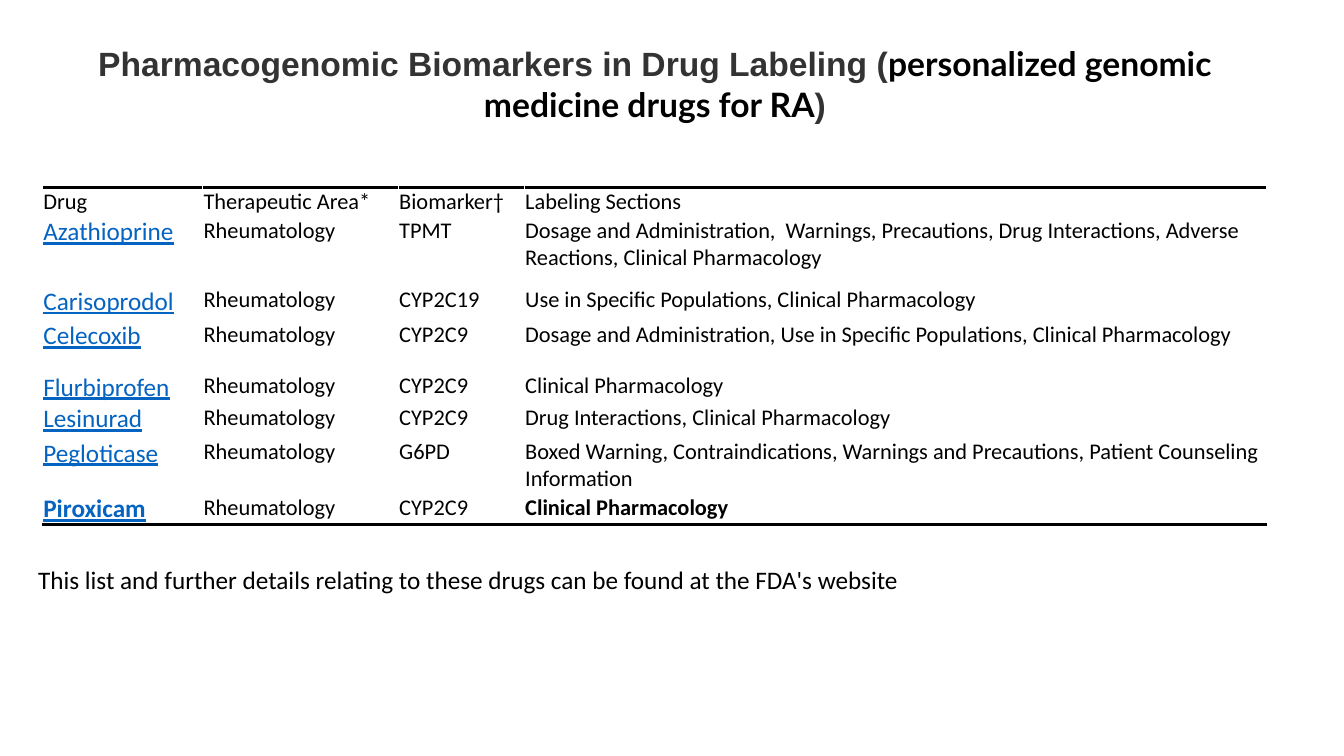
from lxml import etree
from pptx import Presentation
from pptx.dml.color import RGBColor
from pptx.enum.text import MSO_ANCHOR, MSO_AUTO_SIZE, PP_ALIGN
from pptx.oxml.ns import qn
from pptx.util import Inches, Pt

TOP, BOTTOM = MSO_ANCHOR.TOP, MSO_ANCHOR.BOTTOM
NO_FIT = MSO_AUTO_SIZE.NONE
CENTER = PP_ALIGN.CENTER
TITLE_ONLY = 5

COLORS = {"text": "000000", "heading": "333333", "drug": "0563C1", "paper": "FFFFFF"}
COLUMN_WIDTHS = [1.59, 1.94, 1.25, 7.36]
ROW_HEIGHTS = [0.21, 0.69, 0.34, 0.51, 0.21, 0.34, 0.51, 0.2]
HEADINGS = ["Drug", "Therapeutic Area*", "Biomarker†", "Labeling Sections"]
AREA = "Rheumatology"
DRUGS = [
    ("Azathioprine", "TPMT", "Dosage and Administration,  Warnings, Precautions, "
     "Drug Interactions, Adverse Reactions, Clinical Pharmacology"),
    ("Carisoprodol", "CYP2C19", "Use in Specific Populations, Clinical Pharmacology"),
    ("Celecoxib", "CYP2C9", "Dosage and Administration, Use in Specific Populations, "
     "Clinical Pharmacology"),
    ("Flurbiprofen", "CYP2C9", "Clinical Pharmacology"),
    ("Lesinurad", "CYP2C9", "Drug Interactions, Clinical Pharmacology"),
    ("Pegloticase", "G6PD", "Boxed Warning, Contraindications, Warnings and Precautions, "
     "Patient Counseling Information"),
    ("Piroxicam", "CYP2C9", "Clinical Pharmacology"),
]


def add_span(para, text, size, color="text", font="Calibri", bold=False, underline=False):
    """Append one formatted run to a paragraph."""
    span = para.add_run()
    span.text = text
    span.font.name = font
    span.font.size = Pt(size)
    span.font.bold = bold
    span.font.underline = underline
    span.font.color.rgb = RGBColor.from_string(COLORS[color])


def add_rule(cell, side):
    """Draw a two-point line along the named side of a cell."""
    properties = cell._tc.get_or_add_tcPr()
    line = etree.Element(qn(f"a:{side}"), w=str(Pt(2)))
    fill = etree.SubElement(line, qn("a:solidFill"))
    etree.SubElement(fill, qn("a:srgbClr"), val=COLORS["text"])
    properties.insert(0, line)


def place_title(page, left, top, width, height):
    """Fill the title placeholder with the two-font heading."""
    title = page.shapes.title
    title.left, title.top = Inches(left), Inches(top)
    title.width, title.height = Inches(width), Inches(height)
    frame = title.text_frame
    frame.word_wrap = True
    frame.auto_size = NO_FIT
    frame.vertical_anchor = TOP
    para = frame.paragraphs[0]
    para.alignment = CENTER
    add_span(para, "Pharmacogenomic Biomarkers in Drug Labeling (", 24, "heading", "Arial", True)
    add_span(para, "personalized genomic medicine drugs for RA", 24, "text", "Lato", True)
    add_span(para, ")", 24, "heading", "Arial", True)


def place_drug_table(page, left, top, width, height):
    """Build the drug table with a rule above and below it."""
    rows = [HEADINGS] + [(drug, AREA, marker, sections) for drug, marker, sections in DRUGS]
    last = len(rows) - 1
    table = page.shapes.add_table(len(rows), len(HEADINGS), Inches(left), Inches(top),
                                  Inches(width), Inches(height)).table
    table.first_row = table.horz_banding = False
    for column, column_width in zip(table.columns, COLUMN_WIDTHS):
        column.width = Inches(column_width)
    for row, row_height in zip(table.rows, ROW_HEIGHTS):
        row.height = Inches(row_height)
    for row_index, texts in enumerate(rows):
        for column_index, text in enumerate(texts):
            cell = table.cell(row_index, column_index)
            cell.margin_left = cell.margin_right = cell.margin_top = Inches(0.01)
            cell.margin_bottom = 0
            cell.vertical_anchor = BOTTOM if row_index == 0 else TOP
            cell.fill.solid()
            cell.fill.fore_color.rgb = RGBColor.from_string(COLORS["paper"])
            is_drug = row_index > 0 and column_index == 0
            is_bold = row_index == last and column_index in (0, len(HEADINGS) - 1)
            add_span(cell.text_frame.paragraphs[0], text, 18 if is_drug else 16,
                     "drug" if is_drug else "text", bold=is_bold, underline=is_drug)
            if row_index == 0:
                add_rule(cell, "lnT")
            elif row_index == last:
                add_rule(cell, "lnB")


def place_source_note(page, left, top, width, height):
    """Add the note that tells where the list comes from."""
    box = page.shapes.add_textbox(Inches(left), Inches(top), Inches(width), Inches(height))
    box.text_frame.word_wrap = True
    add_span(box.text_frame.paragraphs[0], "This list and further details relating to "
             "these drugs can be found at the FDA's website", 18)


def main():
    """Build the deck and save it."""
    deck = Presentation()
    deck.slide_width, deck.slide_height = Inches(13.33), Inches(7.5)
    page = deck.slides.add_slide(deck.slide_layouts[TITLE_ONLY])
    place_title(page, 0.42, 0.38, 12.15, 0.91)
    place_drug_table(page, 0.42, 1.86, 12.15, 3.32)
    place_source_note(page, 0.28, 5.55, 12.79, 0.4)
    deck.save("out.pptx")


if __name__ == "__main__":
    main()
